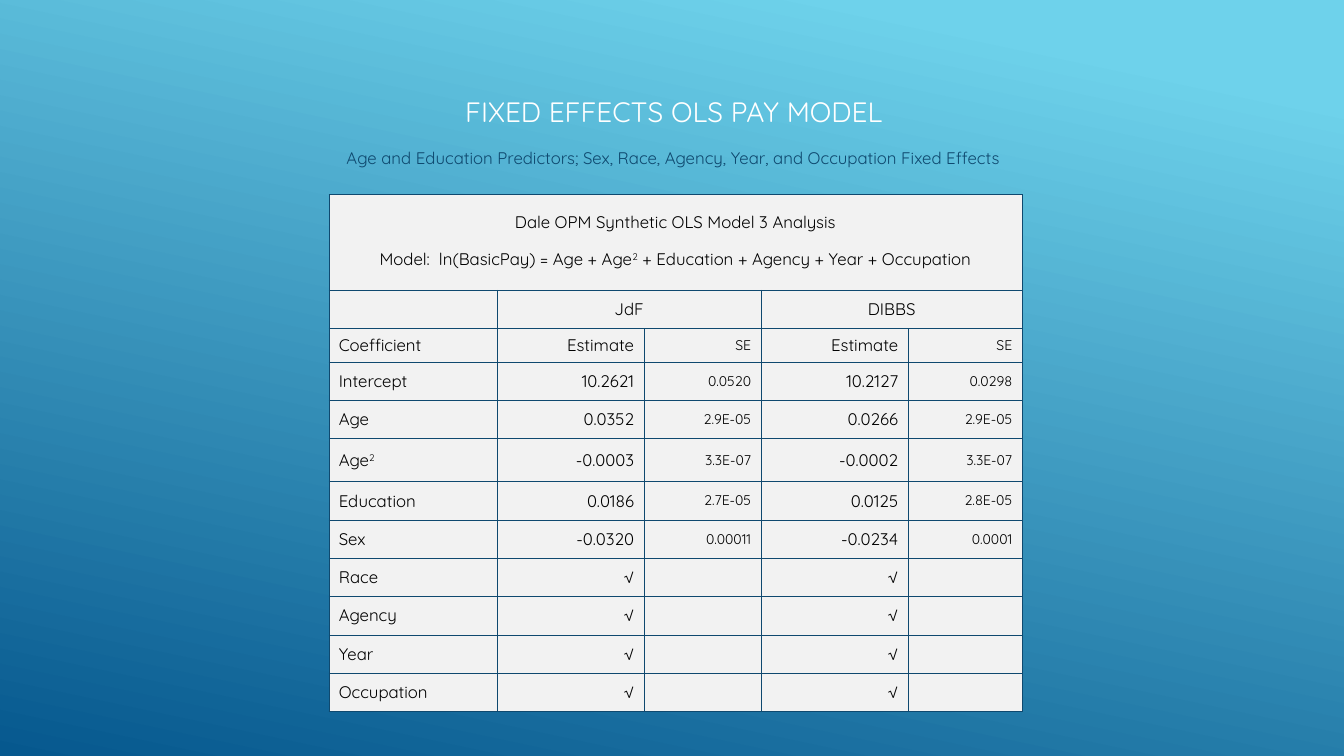
from dataclasses import dataclass

from lxml import etree
from pptx import Presentation
from pptx import util as u
from pptx.dml.color import RGBColor
from pptx.enum import text
from pptx.oxml import ns


@dataclass(frozen=True)
class Theme:
    font: str = "Quicksand"
    sky: str = "6ED2EB"
    ocean: str = "06588E"
    navy: str = "0F496F"
    white: str = "FFFFFF"
    ink: str = "000000"
    cell: str = "F2F2F2"
    title_size: int = 20
    body_size: int = 12
    small_size: int = 10
    border_width: float = 0.25


LEFT, CENTER, RIGHT = text.PP_ALIGN.LEFT, text.PP_ALIGN.CENTER, text.PP_ALIGN.RIGHT


class SlideBuilder:
    def __init__(self, presentation, theme):
        self.theme = theme
        self.slide = presentation.slides.add_slide(presentation.slide_layouts[0])

    def background(self, clockwise_angle):
        fill = self.slide.background.fill
        fill.gradient()
        fill.gradient_angle = 360 - clockwise_angle
        stops = ((0.1, self.theme.sky), (1, self.theme.ocean))
        for stop, (position, color) in zip(fill.gradient_stops, stops):
            stop.position = position
            stop.color.rgb = RGBColor.from_string(color)

    def add_run(self, paragraph, words, size, color, superscript=False):
        run = paragraph.add_run()
        run.text = words
        run.font.name = self.theme.font
        run.font.size = u.Pt(size)
        run.font.color.rgb = RGBColor.from_string(color)
        if superscript:
            run.font._element.set("baseline", "30000")

    def placeholder(self, shape, box, words, size, color, anchor):
        shape.left, shape.top, shape.width, shape.height = map(u.Inches, box)
        shape.text_frame.vertical_anchor = anchor
        shape.text_frame.word_wrap = True
        paragraph = shape.text_frame.paragraphs[0]
        paragraph.alignment = CENTER
        self.add_run(paragraph, words, size, color)
        return paragraph

    def table(self, left, top, widths, heights):
        frame = self.slide.shapes.add_table(
            len(heights), len(widths), u.Inches(left), u.Inches(top),
            u.Inches(sum(widths)), u.Inches(sum(heights)))
        table = frame.table
        table.first_row = table.horz_banding = False
        for column, width in zip(table.columns, widths):
            column.width = u.Inches(width)
        for row, height in zip(table.rows, heights):
            row.height = u.Inches(height)
        for cell in table.iter_cells():
            cell.margin_left = cell.margin_right = u.Inches(0.1)
            cell.margin_top = cell.margin_bottom = 0
            cell.vertical_anchor = text.MSO_ANCHOR.MIDDLE
            cell.fill.solid()
            cell.fill.fore_color.rgb = RGBColor.from_string(self.theme.cell)
        return table

    def borders(self, cell, open_side=None):
        properties = cell._tc.get_or_add_tcPr()
        for index, side in enumerate("LRTB"):
            line = etree.Element(ns.qn(f"a:ln{side}"),
                                 w=str(u.Pt(self.theme.border_width)))
            if side == open_side:
                etree.SubElement(line, ns.qn("a:noFill"))
            else:
                fill = etree.SubElement(line, ns.qn("a:solidFill"))
                etree.SubElement(fill, ns.qn("a:srgbClr"), val=self.theme.navy)
            properties.insert(index, line)

    def cell_text(self, cell, words, alignment, size):
        """Write words into a cell, raising each ² as a superscript 2."""
        paragraph = cell.text_frame.paragraphs[0]
        paragraph.alignment = alignment
        for index, part in enumerate(words.split("²")):
            if index:
                self.add_run(paragraph, "2", size, self.theme.ink, superscript=True)
            if part:
                self.add_run(paragraph, part, size, self.theme.ink)


CAPTIONS = (
    "Dale OPM Synthetic OLS Model 3 Analysis",
    "Model:  ln(BasicPay) = Age + Age² + Education + Agency + Year + Occupation",
)
GROUPS = {1: "JdF", 3: "DIBBS"}
COEFFICIENTS = [
    ("Coefficient", "Estimate", "SE", "Estimate", "SE"),
    ("Intercept", "10.2621", "0.0520", "10.2127", "0.0298"),
    ("Age", "0.0352", "2.9E-05", "0.0266", "2.9E-05"),
    ("Age²", "-0.0003", "3.3E-07", "-0.0002", "3.3E-07"),
    ("Education", "0.0186", "2.7E-05", "0.0125", "2.8E-05"),
    ("Sex", "-0.0320", "0.00011", "-0.0234", "0.0001"),
] + [(effect, "√", "", "√", "") for effect in ("Race", "Agency", "Year", "Occupation")]


def main():
    presentation = Presentation()
    presentation.slide_width = u.Inches(13.33)
    presentation.slide_height = u.Inches(7.5)
    theme = Theme()
    builder = SlideBuilder(presentation, theme)
    builder.background(102)

    # Title and subtitle
    title, subtitle = builder.slide.placeholders
    builder.placeholder(title, (0.45, 0.78, 12.47, 0.54), "FIXED EFFECTS OLS PAY MODEL",
                        theme.title_size, theme.white, text.MSO_ANCHOR.BOTTOM)
    paragraph = builder.placeholder(
        subtitle, (2.6, 1.42, 8.16, 0.4),
        "Age and Education Predictors; Sex, Race, Agency, Year, and Occupation Fixed Effects",
        theme.body_size, theme.navy, text.MSO_ANCHOR.TOP)
    paragraph.space_before = u.Pt(2.4)
    paragraph.space_after = u.Pt(6)

    # Table grid: two caption rows, one group row, then the coefficients
    heights = [0.54, 0.4, 0.38, 0.33] + [0.38] * 9
    heights[6] = 0.43
    table = builder.table(3.26, 1.93, [1.67, 1.46, 1.16, 1.46, 1.13], heights)
    for row in range(len(heights)):
        for column in range(5):
            builder.borders(table.cell(row, column), {0: "B", 1: "T"}.get(row))

    # Captions and group headings
    for row, caption in enumerate(CAPTIONS):
        table.cell(row, 0).merge(table.cell(row, 4))
        builder.cell_text(table.cell(row, 0), caption, CENTER, theme.body_size)
    table.cell(1, 0).margin_bottom = u.Inches(0.2)
    for column, group in GROUPS.items():
        table.cell(2, column).merge(table.cell(2, column + 1))
        builder.cell_text(table.cell(2, column), group, CENTER, theme.body_size)

    # Coefficients, with standard errors in smaller type
    for row, values in enumerate(COEFFICIENTS, start=3):
        for column, value in enumerate(values):
            builder.cell_text(table.cell(row, column), value,
                              RIGHT if column else LEFT,
                              theme.small_size if column in (2, 4) else theme.body_size)

    presentation.save("out.pptx")


if __name__ == "__main__":
    main()
